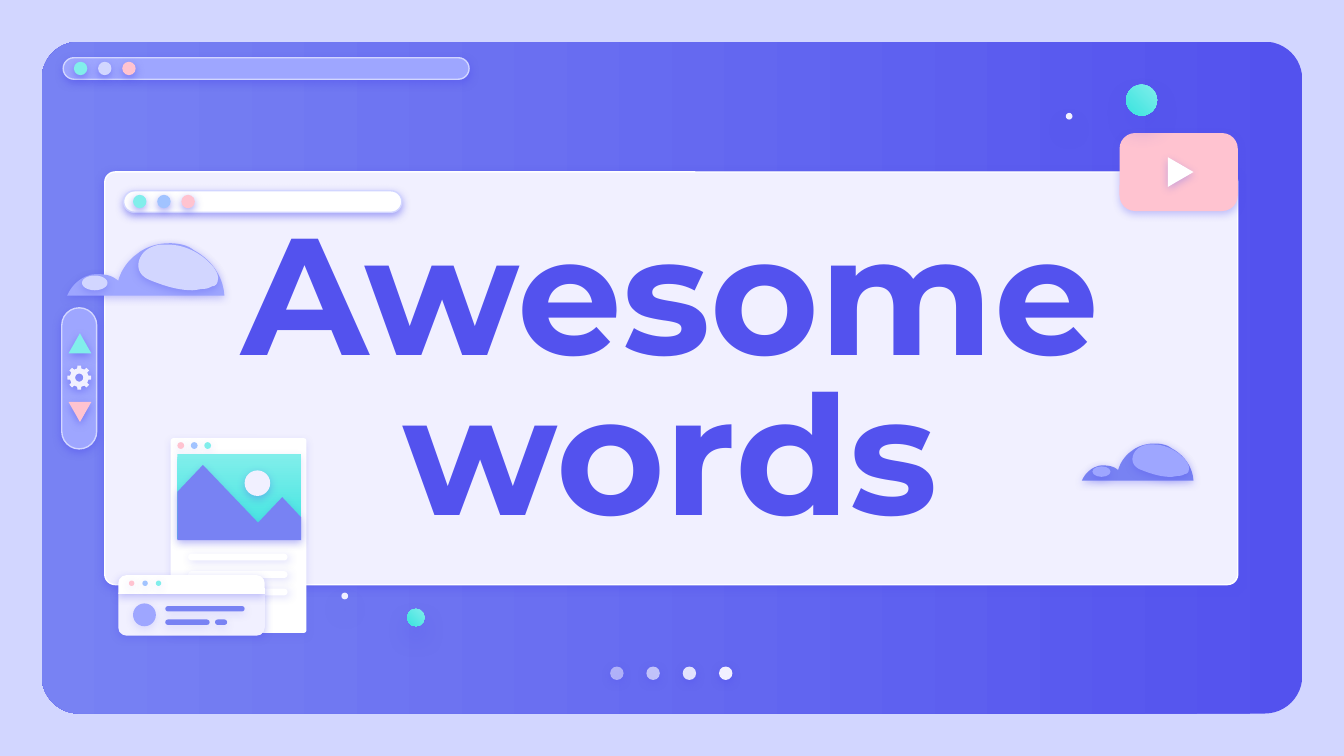
from math import cos, pi, sin

from lxml.etree import SubElement
from pptx import Presentation
from pptx.dml.color import RGBColor
from pptx.enum.shapes import MSO_SHAPE
from pptx.enum.text import MSO_ANCHOR, MSO_AUTO_SIZE, PP_ALIGN
from pptx.oxml.ns import qn
from pptx.util import Inches, Pt

INDIGO = RGBColor(0x53, 0x52, 0xEE)
BLUE = RGBColor(0x78, 0x82, 0xF3)
PERIWINKLE = RGBColor(0x9E, 0xA6, 0xFF)
LAVENDER = RGBColor(0xD2, 0xD6, 0xFF)
PALE = RGBColor(0xF1, 0xF0, 0xFF)
WHITE = RGBColor(0xFF, 0xFF, 0xFF)
PINK = RGBColor(0xFF, 0xC3, 0xD0)
SKY = RGBColor(0xA1, 0xC3, 0xFF)
AQUA = RGBColor(0x81, 0xEE, 0xEB)
TEAL = RGBColor(0x3A, 0xE4, 0xDF)

TITLE = "Awesome words"

# Shadows: opacity in percent, blur and distance in points, direction in degrees
STRONG = (50, 4.5, 1.5, 90)
SOFT = (31, 4.5, 1.5, 90)
FAINT = (14, 4.5, 1.5, 90)
SIDE = (18, 4.5, 1.5, 39)
FLOATING = (38, 12.4, 6.8, 90)

# Cloud outlines in inches from the cloud's left top corner: a start point,
# then Bezier segments (six numbers) and straight segments (two numbers)
CLOUD_BODY = [
    (0.76, 0), (0.67, 0, 0.58, 0.03, 0.52, 0.08), (0.46, 0.12, 0.4, 0.2, 0.38, 0.28),
    (0.34, 0.24, 0.28, 0.23, 0.23, 0.23), (0.21, 0.23, 0.18, 0.23, 0.16, 0.24),
    (0.09, 0.26, 0.03, 0.32, 0, 0.39), (1.17, 0.39),
    (1.16, 0.24, 1.07, 0.12, 0.94, 0.05), (0.89, 0.01, 0.82, 0, 0.76, 0),
]
CLOUD_LIGHT = [
    (0.75, 0.01), (0.73, 0.01, 0.71, 0.01, 0.69, 0.01), (0.64, 0.02, 0.59, 0.04, 0.56, 0.08),
    (0.53, 0.12, 0.52, 0.17, 0.54, 0.21), (0.56, 0.25, 0.6, 0.27, 0.63, 0.28),
    (0.73, 0.32, 0.83, 0.35, 0.93, 0.35), (0.96, 0.35, 0.99, 0.34, 1.01, 0.34),
    (1.04, 0.34, 1.06, 0.33, 1.08, 0.32), (1.1, 0.32, 1.12, 0.3, 1.12, 0.28),
    (1.13, 0.24, 1.11, 0.21, 1.09, 0.18), (1.01, 0.08, 0.88, 0.01, 0.75, 0.01),
]
MOUNTAINS = [(1.51, 3.46), (1.32, 3.66), (1.32, 4.02), (2.24, 4.02), (2.24, 3.85),
             (2.1, 3.7), (1.92, 3.89)]
PLAY = [(8.69, 1.17), (8.69, 1.39), (8.88, 1.28)]

presentation = Presentation()
presentation.slide_width = Inches(10)
presentation.slide_height = presentation.slide_width * 9 // 16
slide = presentation.slides.add_slide(presentation.slide_layouts[5])
slide.background.fill.solid()
slide.background.fill.fore_color.rgb = LAVENDER


def style(shape, color, shadow=None, line=None, angle=0, opacity=None):
    """Paint a shape; a pair of colours gives a gradient at the clockwise angle."""
    if isinstance(color, RGBColor):
        shape.fill.solid()
        shape.fill.fore_color.rgb = color
    else:
        shape.fill.gradient()
        shape.fill.gradient_angle = 360 - angle
        for stop, stop_color in zip(shape.fill.gradient_stops, color):
            stop.color.rgb = stop_color
    if opacity:
        rgb = shape._element.spPr.find(".//" + qn("a:srgbClr"))
        SubElement(rgb, qn("a:alpha"), val=str(opacity * 1000))
    if line:
        shape.line.color.rgb = line
        shape.line.width = Pt(0.75)
    else:
        shape.line.fill.background()
    shape.shadow.inherit = False
    if shadow:
        strength, blur, distance, direction = shadow
        effects = shape._element.spPr.find(qn("a:effectLst"))
        outer = SubElement(effects, qn("a:outerShdw"), blurRad=str(Pt(blur)), dist=str(Pt(distance)),
                           dir=str(direction * 60000), algn="bl", rotWithShape="0")
        rgb = SubElement(outer, qn("a:srgbClr"), val=str(INDIGO))
        SubElement(rgb, qn("a:alpha"), val=str(strength * 1000))
    return shape


def preset(kind, box, color, shadow=None, adjust=(), **options):
    shape = slide.shapes.add_shape(kind, *map(Inches, box))
    for index, value in enumerate(adjust):
        shape.adjustments[index] = value
    return style(shape, color, shadow, **options)


def rounded(box, color, shadow=None, radius=0.5, **options):
    return preset(MSO_SHAPE.ROUNDED_RECTANGLE, box, color, shadow, [radius], **options)


def circle(left, top, size, color, shadow, **options):
    return preset(MSO_SHAPE.OVAL, (left, top, size, size), color, shadow, **options)


def dots(left, top, size, pitch, colors, shadow):
    for index, color in enumerate(colors):
        circle(left + index * pitch, top, size, color, shadow)


def outline(contours, color, shadow):
    """Draw one closed freeform from lists of points in inches."""
    builder = None
    for contour in contours:
        points = [(Inches(x), Inches(y)) for x, y in contour]
        if builder is None:
            builder = slide.shapes.build_freeform(*points[0])
        else:
            builder.move_to(*points[0])
        builder.add_line_segments(points[1:], close=True)
    return style(builder.convert_to_shape(), color, shadow)


def flatten(segments, steps=10):
    """Turn Bezier segments into closely spaced points."""
    points = [segments[0]]
    for segment in segments[1:]:
        if len(segment) == 2:
            points.append(segment)
            continue
        controls = [points[-1], segment[:2], segment[2:4], segment[4:]]
        for step in range(1, steps + 1):
            t = step / steps
            weights = ((1 - t) ** 3, 3 * t * (1 - t) ** 2, 3 * t * t * (1 - t), t ** 3)
            points.append(tuple(sum(w * c[axis] for w, c in zip(weights, controls))
                                for axis in (0, 1)))
    return points


def cloud(left, top, scale, body, light):
    for segments, color in ((CLOUD_BODY, body), (CLOUD_LIGHT, light)):
        points = [(left + x * scale, top + y * scale) for x, y in flatten(segments)]
        outline([points], color, SOFT)
    box = (left + 0.11 * scale, top + 0.24 * scale, 0.19 * scale, 0.11 * scale)
    preset(MSO_SHAPE.OVAL, box, light, SOFT)


def gear(center_x, center_y, teeth=8):
    def polar(radius, angle):
        return center_x + radius * cos(angle), center_y + radius * sin(angle)

    rim = [polar(radius, 2 * pi * (tooth + offset) / teeth) for tooth in range(teeth)
           for radius, offset in ((0.07, -0.28), (0.09, -0.2), (0.09, 0.2), (0.07, 0.28))]
    hole = [polar(0.03, -2 * pi * step / 24) for step in range(24)]
    outline([rim, hole], PALE, STRONG)


# Backdrop, top bar, page dots and main panel
rounded((0.31, 0.31, 9.38, 5), (INDIGO, BLUE), radius=0.056, angle=180)
rounded((0.47, 0.43, 3.02, 0.16), PERIWINKLE, STRONG, line=LAVENDER)
dots(0.55, 0.46, 0.1, 0.18, (AQUA, LAVENDER, PINK), STRONG)
for index, opacity in enumerate((54, 67, 90, 100)):
    circle(5.35 - (3 - index) * 0.27, 4.96, 0.1, PALE, STRONG, opacity=opacity)
rounded((0.78, 1.28, 8.43, 3.07), PALE, STRONG, 0.025, line=WHITE)

# Title, brought in front of the panel
title = slide.shapes.title
slide.shapes._spTree.append(title._element)
title.left, title.top, title.width, title.height = map(Inches, (1.64, 1.5, 6.7, 2.77))
frame = title.text_frame
frame.auto_size = MSO_AUTO_SIZE.NONE
frame.word_wrap = True
frame.vertical_anchor = MSO_ANCHOR.MIDDLE
frame.margin_left = frame.margin_right = frame.margin_top = frame.margin_bottom = Inches(0.1)
paragraph = frame.paragraphs[0]
paragraph.alignment = PP_ALIGN.CENTER
paragraph.line_spacing = 0.8
run = paragraph.add_run()
run.text = TITLE
run.font.name = "Montserrat"
run.font.size = Pt(89)
run.font.bold = True
run.font.color.rgb = INDIGO

# Clouds, play button and floating balls
cloud(0.5, 1.81, 1, PERIWINKLE, LAVENDER)
rounded((8.33, 0.99, 0.88, 0.58), PINK, SOFT, 0.2)
outline([PLAY], WHITE, SOFT)
cloud(8.05, 3.3, 0.71, BLUE, PERIWINKLE)
for left, top, size in ((8.38, 0.63, 0.23), (3.03, 4.53, 0.13)):
    circle(left, top, size, (AQUA, TEAL), FLOATING, angle=135)
for left, top in ((7.93, 0.84), (2.54, 4.41)):
    circle(left, top, 0.05, PALE, FLOATING)

# Page with landscape
rounded((1.27, 3.26, 1.01, 1.45), WHITE, FAINT, 0.02)
for index in range(3):
    rounded((1.4, 4.12 + index * 0.13, 0.74, 0.05), WHITE, SIDE)
dots(1.32, 3.29, 0.05, 0.1, (PINK, SKY, AQUA), FAINT)
preset(MSO_SHAPE.RECTANGLE, (1.32, 3.38, 0.92, 0.63), (AQUA, TEAL), FAINT, angle=90)
outline([MOUNTAINS], BLUE, SOFT)
circle(1.82, 3.5, 0.19, PALE, SOFT)

# Message card
preset(MSO_SHAPE.ROUND_2_SAME_RECTANGLE, (0.88, 4.41, 1.09, 0.32), PALE, SOFT, (0, 0.19))
preset(MSO_SHAPE.ROUND_2_SAME_RECTANGLE, (0.88, 4.28, 1.09, 0.14), WHITE, SOFT, (0.43, 0))
dots(0.96, 4.32, 0.04, 0.1, (PINK, SKY, AQUA), FAINT)
circle(0.99, 4.49, 0.17, PERIWINKLE, FAINT)
for left, top, width in ((1.23, 4.51, 0.59), (1.23, 4.61, 0.33), (1.6, 4.61, 0.09)):
    rounded((left, top, width, 0.04), BLUE, FAINT)

# Panel bar and side control
rounded((0.92, 1.42, 2.07, 0.16), WHITE, STRONG, line=LAVENDER)
dots(0.99, 1.45, 0.1, 0.18, (AQUA, SKY, PINK), STRONG)
rounded((0.46, 2.29, 0.26, 1.05), PERIWINKLE, STRONG, line=LAVENDER)
for top, color, rotation in ((2.48, AQUA, 0), (2.99, PINK, 180)):
    preset(MSO_SHAPE.ISOSCELES_TRIANGLE, (0.51, top, 0.17, 0.15), color, STRONG).rotation = rotation
gear(0.59, 2.81)

presentation.save("out.pptx")
